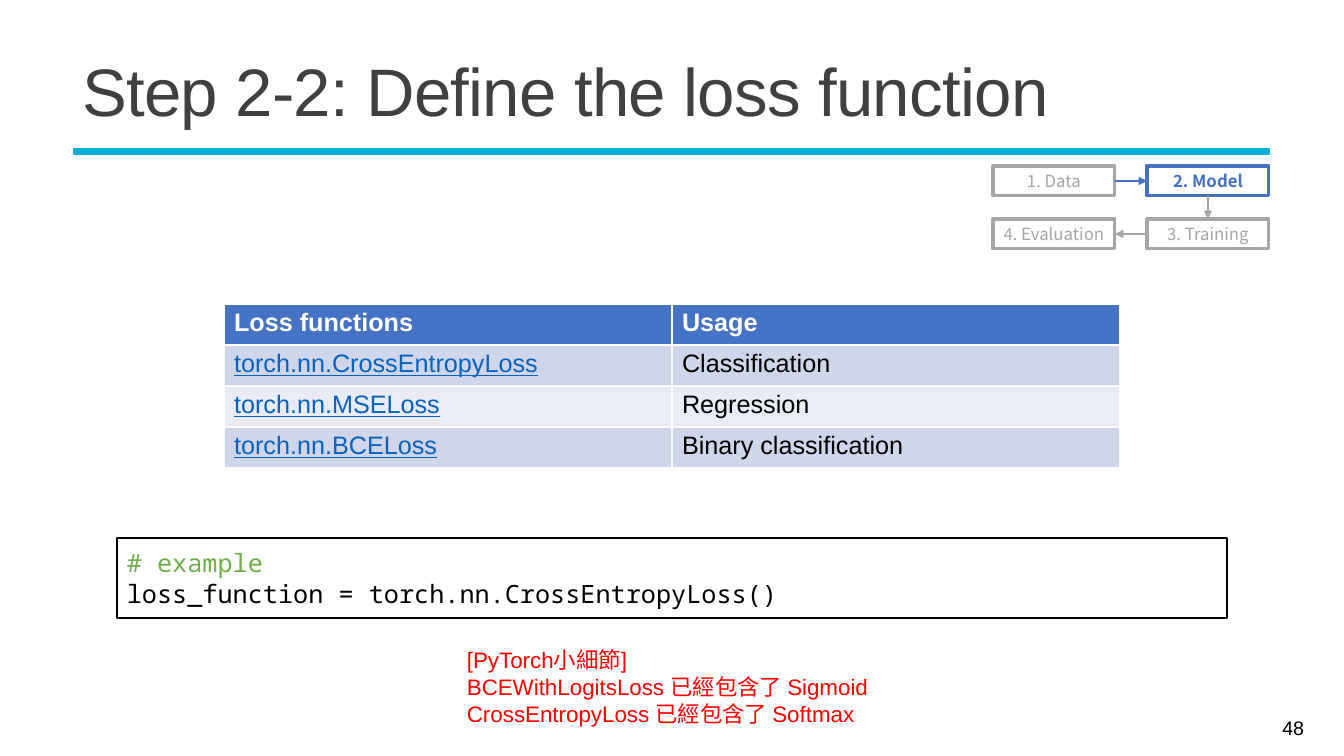
from pptx import Presentation
from pptx.dml.color import RGBColor
from pptx.enum.shapes import MSO_CONNECTOR as Link, MSO_SHAPE as Preset
from pptx.enum.text import MSO_ANCHOR as Anchor, MSO_AUTO_SIZE as Fit, PP_ALIGN as Align
from pptx.oxml.ns import qn
from pptx.util import Pt
from lxml.etree import SubElement

PX = 12192000 / 1344
TOP, LEFT, BOTTOM, RIGHT = range(4)

BLACK = RGBColor(0x00, 0x00, 0x00)
WHITE = RGBColor(0xFF, 0xFF, 0xFF)
CHARCOAL = RGBColor(0x40, 0x40, 0x40)
GREY = RGBColor(0xA6, 0xA6, 0xA6)
CYAN = RGBColor(0x05, 0xAE, 0xD6)
BLUE = RGBColor(0x44, 0x72, 0xC4)
LINK_BLUE = RGBColor(0x05, 0x63, 0xC1)
GREEN = RGBColor(0x70, 0xAD, 0x47)
RED = RGBColor(0xFF, 0x00, 0x00)
BAND_DARK = RGBColor(0xCF, 0xD5, 0xEA)
BAND_LIGHT = RGBColor(0xE9, 0xEB, 0xF5)

SANS, CJK, MONO = "Arial", "Noto Sans CJK TC", "Noto Sans Mono"

STEPS = [("1. Data", 0, 0), ("2. Model", 1, 0), ("3. Training", 1, 1), ("4. Evaluation", 0, 1)]
ARROWS = [(0, RIGHT, 1, LEFT, BLUE), (1, BOTTOM, 2, TOP, GREY), (2, LEFT, 3, RIGHT, GREY)]
LOSSES = [
    ("Loss functions", "Usage"),
    ("torch.nn.CrossEntropyLoss", "Classification"),
    ("torch.nn.MSELoss", "Regression"),
    ("torch.nn.BCELoss", "Binary classification"),
]
CODE = ["# example", "loss_function = torch.nn.CrossEntropyLoss()"]
NOTE = [
    "[PyTorch小細節]",
    "BCEWithLogitsLoss 已經包含了 Sigmoid",
    "CrossEntropyLoss 已經包含了 Softmax",
]


def px(*lengths):
    return [round(length * PX) for length in lengths]


def write(frame, lines, size, color, font=SANS, align=Align.LEFT, bold=False):
    frame.text = "\n".join(lines)
    for para in frame.paragraphs:
        para.alignment = align
        for span in para.runs:
            span.font.size = Pt(size)
            span.font.name = font
            span.font.bold = bold
            span.font.color.rgb = color
            SubElement(span.font._element, qn("a:ea"), typeface=CJK)


def add_frame(page, box, line, width, fill=None):
    frame = page.shapes.add_shape(Preset.RECTANGLE, *px(*box))
    frame.shadow.inherit = False
    if fill is None:
        frame.fill.background()
    else:
        frame.fill.solid()
        frame.fill.fore_color.rgb = fill
    frame.line.color.rgb = line
    frame.line.width = Pt(width)
    frame.text_frame.vertical_anchor = Anchor.MIDDLE
    return frame


def add_text(page, box, lines, size, color, align=Align.LEFT, anchor=Anchor.TOP):
    text = page.shapes.add_textbox(*px(*box)).text_frame
    text.word_wrap = True
    text.vertical_anchor = anchor
    write(text, lines, size, color, align=align)


def add_heading(page, box, heading):
    left, top, width, height = box
    add_frame(page, (left + 2, top + 110, width - 9, 5), CYAN, 1.25, CYAN)
    title = page.shapes.title
    title.left, title.top, title.width, title.height = px(*box)
    text = title.text_frame
    text.auto_size = Fit.NONE
    text.vertical_anchor = Anchor.MIDDLE
    write(text, [heading], 48, CHARCOAL)
    para = text.paragraphs[0]
    para.line_spacing = 0.85
    para.runs[0].font._element.set("spc", "-50")


def add_arrow(page, start, start_side, end, end_side, color):
    arrow = page.shapes.add_connector(Link.STRAIGHT, 0, 0, 0, 0)
    arrow.begin_connect(start, start_side)
    arrow.end_connect(end, end_side)
    arrow.line.color.rgb = color
    arrow.line.width = Pt(1.5)
    SubElement(arrow.line._get_or_add_ln(), qn("a:tailEnd"), type="triangle")
    SubElement(arrow._element.spPr, qn("a:effectLst"))


def add_workflow(page, box, current):
    """Draw the four steps as a two by two loop and highlight the current one."""
    left, top, width, height = box
    step_width, step_height = 122, 30
    boxes = []
    for label, column, row in STEPS:
        active = label == current
        color = BLUE if active else GREY
        place = (left + column * (width - step_width), top + row * (height - step_height),
                 step_width, step_height)
        step = add_frame(page, place, color, 2.25)
        step.text_frame.word_wrap = False
        write(step.text_frame, [label], 12, color, CJK, Align.CENTER, active)
        boxes.append(step)
    for start, start_side, end, end_side, color in ARROWS:
        add_arrow(page, boxes[start], start_side, boxes[end], end_side, color)


def add_loss_table(page, box):
    table = page.shapes.add_table(len(LOSSES), len(LOSSES[0]), *px(*box)).table
    for row, texts in enumerate(LOSSES):
        header = row == 0
        band = BAND_DARK if row % 2 else BAND_LIGHT
        for column, text in enumerate(texts):
            linked = column == 0 and not header
            cell = table.cell(row, column)
            cell.fill.solid()
            cell.fill.fore_color.rgb = BLUE if header else band
            color = WHITE if header else LINK_BLUE if linked else BLACK
            write(cell.text_frame, [text], 18, color, bold=header)
            cell.text_frame.paragraphs[0].runs[0].font.underline = linked


def add_code(page, box):
    text = add_frame(page, box, BLACK, 1.25).text_frame
    write(text, CODE, 18, BLACK, MONO)
    text.paragraphs[0].runs[0].font.color.rgb = GREEN


def main():
    deck = Presentation()
    deck.slide_width, deck.slide_height = px(1344, 756)
    page = deck.slides.add_slide(deck.slide_layouts[5])
    add_heading(page, (72, 39, 1204, 114), "Step 2-2: Define the loss function")
    add_workflow(page, (993, 166, 276, 83), "2. Model")
    add_loss_table(page, (224, 304, 896, 164))
    add_code(page, (117, 538, 1110, 80))
    add_text(page, (457, 641, 536, 95), NOTE, 16, RED)
    add_text(page, (1170, 708, 144, 40), ["48"], 14, BLACK, Align.RIGHT, Anchor.MIDDLE)
    deck.save("out.pptx")


if __name__ == "__main__":
    main()
